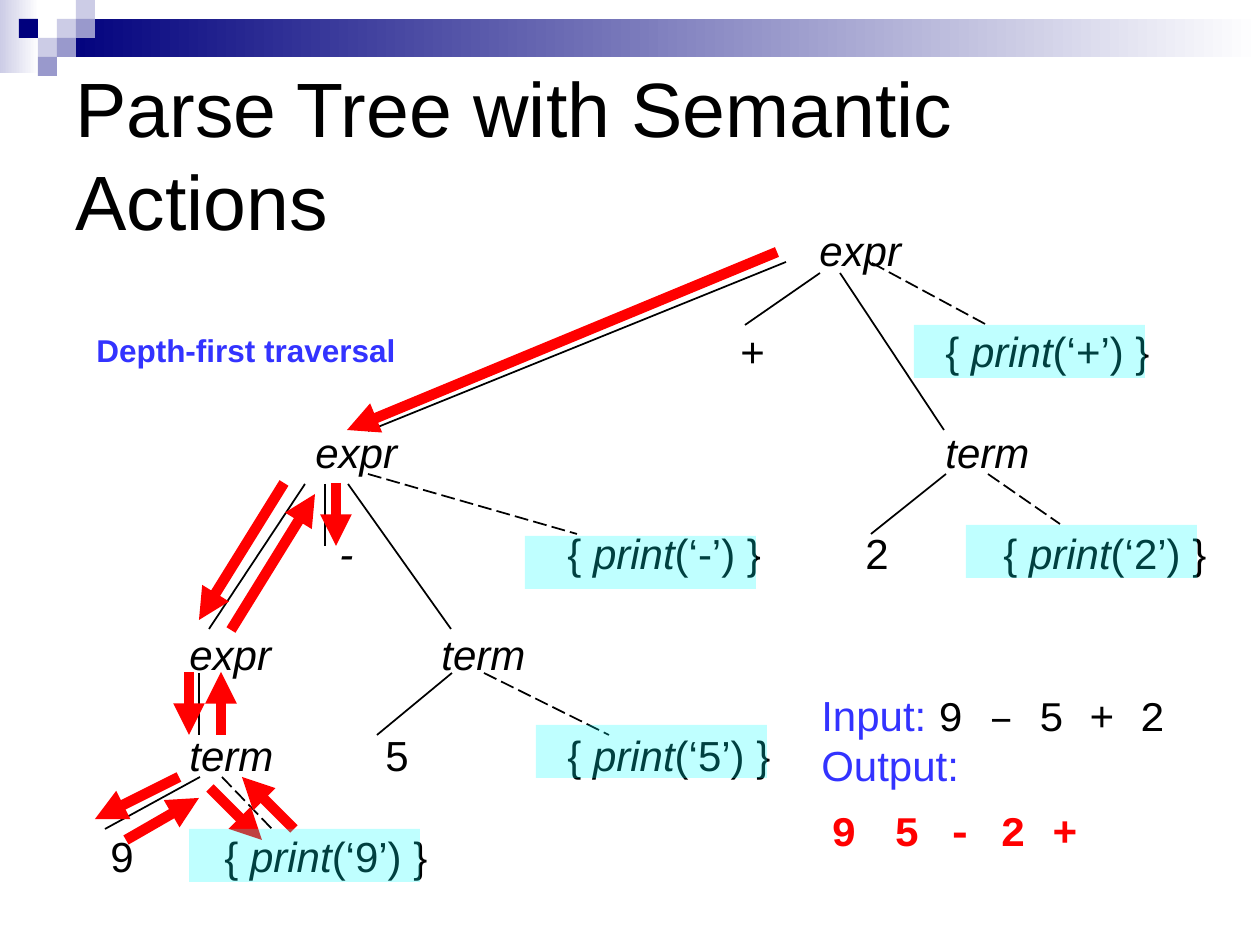
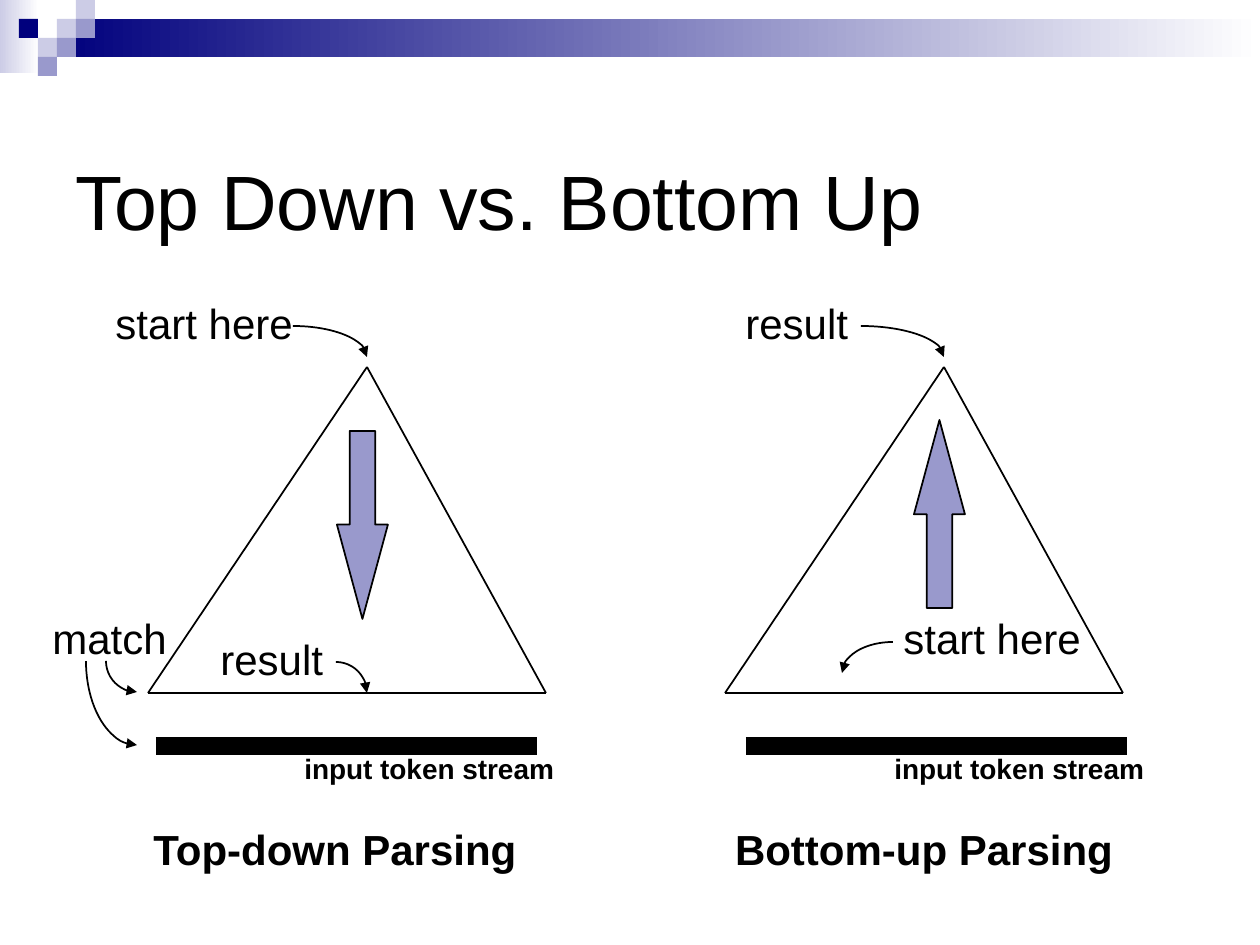
from lxml.etree import SubElement
from pptx import Presentation
from pptx.dml.color import RGBColor
from pptx.enum.dml import MSO_LINE
from pptx.enum.shapes import MSO_CONNECTOR, MSO_SHAPE as SHAPE
from pptx.enum.text import MSO_ANCHOR, MSO_AUTO_SIZE, PP_ALIGN as ALIGN
from pptx.oxml.ns import qn
from pptx.util import Emu, Pt

PX = 914400 / 126
BLACK, WHITE, RED, BLUE, CYAN = "000000", "FFFFFF", "FF0000", "3333FF", "00FFFF"
NAVY, LILAC, PALE = "00007D", "9999CC", "CCCCE6"
BAND_CELL = 19
BAND_SQUARES = [(3, 1, PALE), (4, 0, PALE), (4, 1, LILAC), (2, 2, PALE),
                (1, 1, NAVY), (3, 2, LILAC), (2, 3, LILAC)]
INSET = 13
TREE_TOP, TREE_ROW = 218, 101

# row, left edge of the text, symbol
TREE_NODES = [(0, 820, "expr"), (1, 741, "+"), (2, 316, "expr"), (2, 946, "term"),
              (3, 340, "-"), (3, 866, "2"), (4, 190, "expr"), (4, 442, "term"),
              (5, 190, "term"), (5, 386, "5"), (6, 111, "9")]
# row, left edge of the text, printed symbol
PRINT_ACTIONS = [(1, 946, "+"), (3, 568, "-"), (3, 1004, "2"), (5, 568, "5"), (6, 225, "9")]
TREE_EDGES = [(840, 273, 944, 430), (820, 273, 745, 325), (368, 431, 786, 262),
              (946, 474, 871, 534), (348, 484, 451, 629), (452, 673, 377, 735),
              (325, 484, 325, 546), (305, 484, 209, 629), (199, 673, 199, 735),
              (200, 777, 105, 829)]
ACTION_EDGES = [(872, 263, 987, 325), (988, 474, 1060, 524), (368, 474, 577, 534),
                (484, 673, 609, 735), (222, 777, 272, 829)]
TRAVERSAL_STEPS = [(777, 252, 347, 430), (284, 483, 199, 620), (189, 672, 189, 735),
                   (179, 777, 95, 819), (210, 788, 262, 840), (126, 840, 199, 798),
                   (294, 829, 242, 777), (221, 735, 221, 672), (231, 630, 315, 494),
                   (336, 483, 336, 546)]
ACTION_HIGHLIGHTS = [(189, 829), (536, 725), (525, 536), (966, 525), (914, 325)]
OUTPUT_SYMBOLS = [(819, "9"), (882, "5"), (935, "-"), (988, "2"), (1040, "+")]


def px(*lengths):
    return [Emu(round(length * PX)) for length in lengths]


def rgb(color):
    return RGBColor.from_string(color)


def set_font(font, **values):
    defaults = {"name": "Arial", "size": 24, "bold": False, "italic": False}
    color = values.pop("color", BLACK)
    for key, value in {**defaults, **values}.items():
        setattr(font, key, Pt(value) if key == "size" else value)
    font.color.rgb = rgb(color)


def add_shape(shapes, kind, place, fill=None, line=None):
    shape = shapes.add_shape(kind, *px(*place))
    shape.shadow.inherit = False
    if fill:
        shape.fill.solid()
        shape.fill.fore_color.rgb = rgb(fill)
    else:
        shape.fill.background()
    if line:
        shape.line.color.rgb = rgb(line)
        shape.line.width = Pt(1)
    else:
        shape.line.fill.background()
    return shape


def add_fade(shapes, place, start):
    fade = add_shape(shapes, SHAPE.RECTANGLE, place)
    fade.fill.gradient()
    fade.fill.gradient_angle = 0
    for stop, color in zip(fade.fill.gradient_stops, (start, WHITE)):
        stop.color.rgb = rgb(color)


def add_arrowhead(shape, end):
    """Put a triangle at the "head" (start) or "tail" (finish) of a line."""
    SubElement(shape.element.spPr.get_or_add_ln(), qn(f"a:{end}End"), type="triangle")


def add_line(page, ends, color=BLACK, width=1, dash=None, arrow=False):
    line = page.shapes.add_connector(MSO_CONNECTOR.STRAIGHT, *px(*ends))
    line.line.color.rgb = rgb(color)
    line.line.width = Pt(width)
    if dash:
        line.line.dash_style = dash
    if arrow:
        add_arrowhead(line, "tail")
    SubElement(line.element.spPr, qn("a:effectLst"))


def add_curve(page, center, radii, start_angle, end):
    """Draw a quarter ellipse, clockwise from start_angle in degrees, with an arrowhead."""
    (x, y), (rx, ry) = center, radii
    arc = add_shape(page.shapes, SHAPE.ARC, (x - rx, y - ry, 2 * rx, 2 * ry), line=BLACK)
    for index, angle in enumerate((start_angle, (start_angle + 90) % 360)):
        arc.adjustments[index] = angle * 0.6
    add_arrowhead(arc, end)


def add_text(page, place, *paragraphs, align=ALIGN.LEFT):
    """Each paragraph is a list of (text, font values) pairs."""
    frame = page.shapes.add_textbox(*px(*place)).text_frame
    frame.word_wrap = True
    for index, spans in enumerate(paragraphs):
        para = frame.add_paragraph() if index else frame.paragraphs[0]
        para.alignment = align
        for text, values in spans:
            span = para.add_run()
            span.text = text
            set_font(span.font, **values)


def add_label(page, left, top, width, text, align=ALIGN.LEFT, **values):
    add_text(page, (left, top, width, 63), [(text, values)], align=align)


def add_page(deck, title):
    page = deck.slides.add_slide(deck.slide_layouts[5])
    box = page.shapes.title
    box.left, box.top, box.width, box.height = px(63, 63, 1134, 189)
    frame = box.text_frame
    frame.text = title
    frame.word_wrap = True
    frame.auto_size = MSO_AUTO_SIZE.NONE
    frame.vertical_anchor = MSO_ANCHOR.BOTTOM
    frame.paragraphs[0].alignment = ALIGN.LEFT
    set_font(frame.paragraphs[0].runs[0].font, size=44)
    return page


def add_band(deck, page):
    """Build the corner squares and bar, and hand them to the shared layout."""
    layout = deck.slide_layouts[5]
    for placeholder in list(layout.placeholders)[1:]:
        layout.shapes.element.remove(placeholder.element)
    band = page.shapes.add_group_shape()
    add_fade(band.shapes, (0, 0, 39, 73), PALE)
    add_fade(band.shapes, (57, 19, 1203, 38), NAVY)
    for column, row, color in BAND_SQUARES:
        place = (column * BAND_CELL, row * BAND_CELL, BAND_CELL, BAND_CELL)
        add_shape(band.shapes, SHAPE.RECTANGLE, place, color)
    layout.shapes.element.insert(2, band.element)


def add_tree(page):
    for row, left, symbol in TREE_NODES:
        italic = symbol.isalpha() or symbol == "-"
        add_label(page, left - INSET, TREE_TOP + row * TREE_ROW, 120, symbol, italic=italic)
    for row, left, symbol in PRINT_ACTIONS:
        add_text(page, (left - INSET, TREE_TOP + row * TREE_ROW, 250, 63),
                 [("{ ", {}), ("print", {"italic": True}), (f"(‘{symbol}’) }}", {})])
    for ends in TREE_EDGES:
        add_line(page, ends)
    for ends in ACTION_EDGES:
        add_line(page, ends, dash=MSO_LINE.LONG_DASH)


def add_traversal(page):
    add_label(page, 84, 325, 340, "Depth-first traversal", size=18, bold=True, color=BLUE)
    for ends in TRAVERSAL_STEPS:
        add_line(page, ends, RED, 6, arrow=True)
    for left, top in ACTION_HIGHLIGHTS:
        box = add_shape(page.shapes, SHAPE.RECTANGLE, (left, top, 231, 53), CYAN)
        color = box.element.spPr.find(".//" + qn("a:srgbClr"))
        SubElement(color, qn("a:alpha"), val="25000")


def add_translation(page):
    add_text(page, (809, 683, 390, 113),
             [("Input: ", {"color": BLUE}), ("9 – 5 + 2", {"name": "Courier New"})],
             [("Output:", {"color": BLUE})])
    for left, symbol in OUTPUT_SYMBOLS:
        add_label(page, left, 798, 60, symbol, name="Courier New", bold=True, color=RED)


def add_parser(page, triangle_shift, stream_shift, arrow_kind, arrow_place):
    left, apex, right = (x + triangle_shift for x in (148, 367, 546))
    for ends in ((left, 693, right, 693), (left, 693, apex, 367), (apex, 367, right, 693)):
        add_line(page, ends)
    add_line(page, (156 + stream_shift, 746, 537 + stream_shift, 746), width=10)
    add_label(page, 292 + stream_shift, 745, 290, "input token stream", size=16, bold=True)
    arrow = add_shape(page.shapes, arrow_kind, (*arrow_place, 51, 188), LILAC, BLACK)
    arrow.adjustments[0], arrow.adjustments[1] = 0.5, 1.85


def main():
    deck = Presentation()
    deck.slide_width, deck.slide_height = px(1260, 945)

    tree_page = add_page(deck, "Parse Tree with Semantic Actions")
    add_band(deck, tree_page)
    add_tree(tree_page)
    add_traversal(tree_page)
    add_translation(tree_page)

    parsing_page = add_page(deck, "Top Down vs. Bottom Up")
    add_parser(parsing_page, 0, 0, SHAPE.DOWN_ARROW, (337, 431))
    add_parser(parsing_page, 577, 590, SHAPE.UP_ARROW, (914, 420))
    for left, top, text in ((103, 291, "start here"), (208, 627, "result"), (40, 606, "match"),
                            (891, 606, "start here"), (733, 291, "result")):
        add_label(parsing_page, left, top, 220, text)
    for center, radii, start_angle, end in (
            ((293, 357), (74, 31), 270, "tail"), ((336, 693), (31, 31), 270, "tail"),
            ((137, 661), (31, 31), 90, "head"), ((137, 661), (51, 84), 90, "head"),
            ((893, 673), (51, 31), 180, "head"), ((861, 357), (83, 31), 270, "tail")):
        add_curve(parsing_page, center, radii, start_angle, end)
    for left, text in ((125, "Top-down Parsing"), (714, "Bottom-up Parsing")):
        add_label(parsing_page, left, 817, 420, text, ALIGN.CENTER, bold=True)

    deck.save("out.pptx")


if __name__ == "__main__":
    main()
